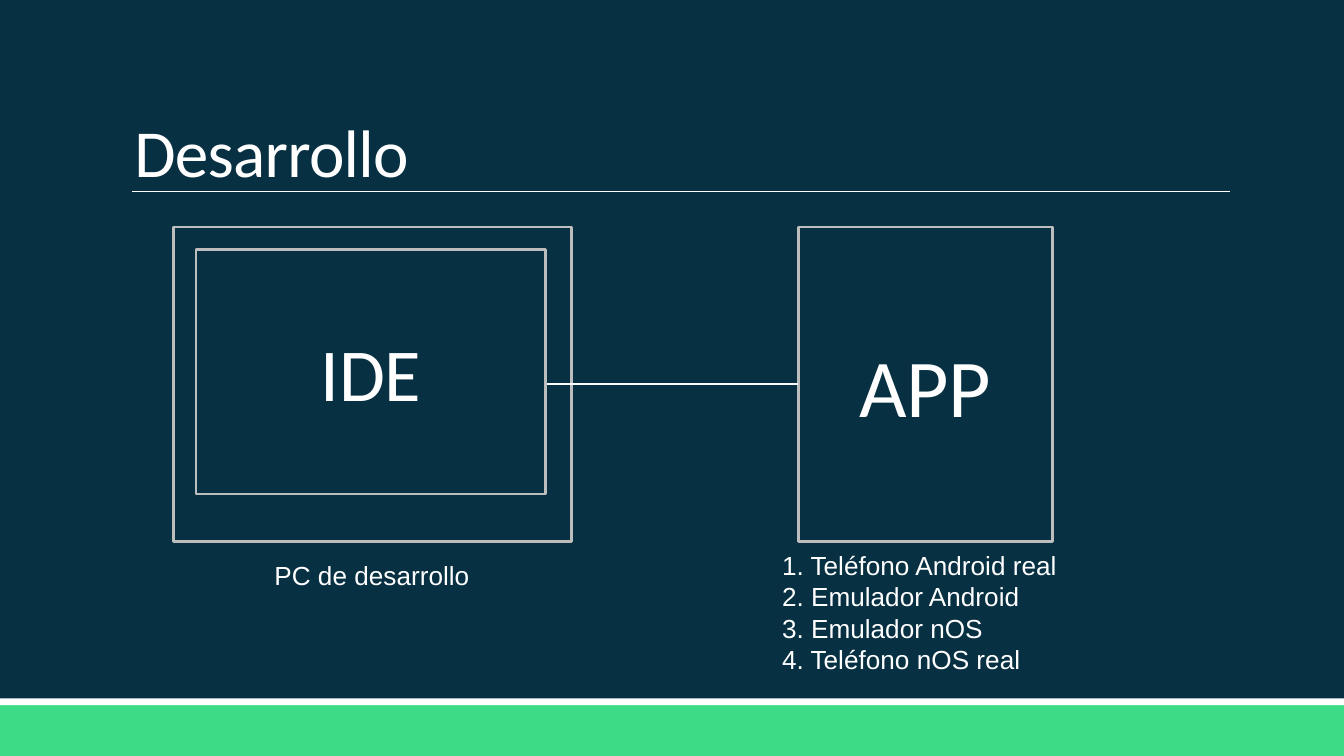
from lxml import etree
from pptx import Presentation
from pptx.dml.color import RGBColor
from pptx.enum.shapes import MSO_CONNECTOR, MSO_SHAPE
from pptx.enum.text import MSO_ANCHOR, PP_ALIGN
from pptx.oxml.ns import qn
from pptx.util import Cm, Pt

RECT = MSO_SHAPE.RECTANGLE
LINE = MSO_CONNECTOR.STRAIGHT
TOP, MID, LOW = MSO_ANCHOR.TOP, MSO_ANCHOR.MIDDLE, MSO_ANCHOR.BOTTOM
LEFT, MIDST, JUST = PP_ALIGN.LEFT, PP_ALIGN.CENTER, PP_ALIGN.JUSTIFY

COLORS = {"navy": "073042", "green": "3DDB85", "white": "FFFFFF", "gray": "BDBDBD"}
WIDE, HIGH = 25.4, 14.29


class Deck:
    """Hold the style and the current slide, and draw each kind of element."""

    def __init__(self):
        self.prs = Presentation()
        self.prs.slide_width, self.prs.slide_height = Cm(WIDE), Cm(HIGH)
        self.slide = self.prs.slides.add_slide(self.prs.slide_layouts[6])
        self.paint(self.slide.background.fill, "navy")

    def paint(self, fill, name):
        fill.solid()
        fill.fore_color.rgb = RGBColor.from_string(COLORS[name])

    def letter(self, frame, rows, size, face, align, anchor, gap=None, track=None):
        form = {"word_wrap": True, "vertical_anchor": anchor}
        for key, val in form.items():
            setattr(frame, key, val)
        for i, row in enumerate(rows):
            para = frame.paragraphs[0] if i == 0 else frame.add_paragraph()
            for key, val in {"alignment": align, "line_spacing": gap}.items():
                setattr(para, key, val)
            run = para.add_run()
            run.text = row
            for key, val in {"size": Pt(size), "name": face}.items():
                setattr(run.font, key, val)
            self.paint(run.font.fill, "white")
            if track:
                run.font._element.set("spc", str(track))

    def box(self, place, fill, line=None, text=None, size=None):
        shape = self.slide.shapes.add_shape(RECT, *map(Cm, place))
        shape.shadow.inherit = False
        self.paint(shape.fill, fill)
        if line:
            self.paint(shape.line.fill, line)
            shape.line.width = Pt(1.25)
        else:
            shape.line.fill.background()
        if text:
            self.letter(shape.text_frame, [text], size, "Calibri", MIDST, MID)
        return shape

    def text(self, place, rows, size, face, align, anchor=TOP, low=0.13, **form):
        frame = self.slide.shapes.add_textbox(*map(Cm, place)).text_frame
        frame.margin_bottom = Cm(low)
        self.letter(frame, rows, size, face, align, anchor, **form)

    def line(self, left, right, top, width, goal=None):
        link = self.slide.shapes.add_connector(LINE, Cm(left), Cm(top), Cm(right), Cm(top))
        self.paint(link.line.fill, "white")
        link.line.width = Pt(width)
        etree.SubElement(link._element.spPr, qn("a:effectLst"))
        if goal:
            link.end_connect(goal, 1)


def main():
    deck = Deck()
    deck.box((0, 13.33, WIDE, HIGH - 13.33), "green")
    deck.box((0, 13.2, WIDE, 0.13), "white")
    deck.line(2.49, 23.24, 3.62, 0.5)
    deck.text((2.29, 0.61, 20.95, 3.02), ["Desarrollo"], 36, "Calibri", LEFT,
              LOW, low=0.05, gap=0.75, track=-40)

    top, tall = 4.29, 5.95
    app = deck.box((15.09, top, 4.8, tall), "navy", "gray", "APP", 44)
    deck.box((3.28, top, 7.52, tall), "navy", "gray")
    deck.line(10.31, 15.09, top + tall / 2, 1, app)
    deck.box((3.71, 4.72, 6.6, 4.62), "navy", "gray", "IDE", 40)

    goals = ["Teléfono Android real", "Emulador Android", "Emulador nOS", "Teléfono nOS real"]
    rows = [f"{i}. {goal}" for i, goal in enumerate(goals, 1)]
    deck.text((14.53, 10.26, 5.92, 2.64), rows, 14, "Arial", JUST, gap=Pt(16.8))
    deck.text((3.4, 10.44, 7.26, 0.86), ["PC de desarrollo"], 14, "Arial", MIDST, gap=Pt(16.8))
    deck.prs.save("out.pptx")


if __name__ == "__main__":
    main()
